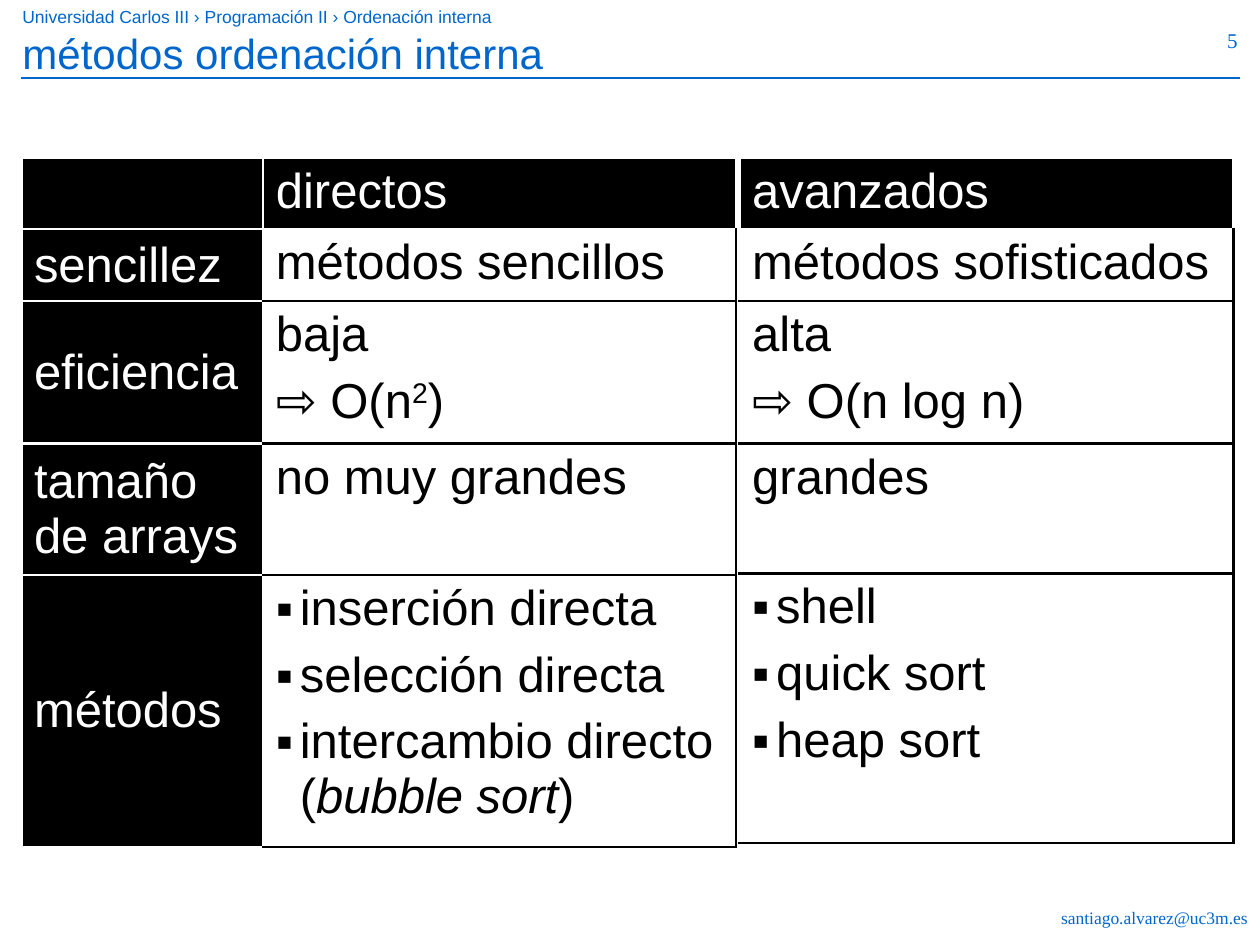
from dataclasses import dataclass
from pptx import Presentation
from pptx.dml.color import RGBColor as Rgb
from pptx.enum.shapes import MSO_CONNECTOR as Link
from pptx.enum.text import MSO_ANCHOR as Anchor, PP_ALIGN as Align
from pptx.oxml.ns import qn
from pptx.util import Inches, Pt
from lxml.etree import SubElement as Sub


@dataclass(frozen=True)
class Theme:
    blue: str = "0066CC"
    black: str = "000000"
    white: str = "FFFFFF"
    sans: str = "Arial"
    serif: str = "Times New Roman"
    small: int = 10
    page: int = 12
    title: int = 24
    body: int = 28
    rule: float = 0.75
    edge: float = 1.47
    gap: int = 7


THEME = Theme()


def add_run(para, text, size, face, color, **marks):
    run = para.add_run()
    run.text = text
    for name, value in {"size": Pt(size), "name": face}.items():
        setattr(run.font, name, value)
    run.font.color.rgb = Rgb.from_string(color)
    for name, value in marks.items():
        run.font._element.set(name, value)


def add_label(slide, box, text, size, face, align=Align.LEFT):
    frame = slide.shapes.add_textbox(*map(Inches, box)).text_frame
    frame.word_wrap = True
    para = frame.paragraphs[0]
    para.alignment = align
    add_run(para, text, size, face, THEME.blue)


def add_head(slide, box):
    left, top, width, height = box
    add_label(slide, (left, top, 5.83, 0.27),
              "Universidad Carlos III › Programación II › Ordenación interna",
              THEME.small, THEME.sans)
    add_label(slide, (left, top + 0.17, 8.67, 0.62), "métodos ordenación interna",
              THEME.title, THEME.sans)
    add_label(slide, (left + width - 0.67, top + 0.17, 0.67, 0.52), "5",
              THEME.page, THEME.serif, Align.RIGHT)
    level = Inches(top + height)
    rule = slide.shapes.add_connector(Link.STRAIGHT, Inches(left + 0.09), level,
                                      Inches(left + width - 0.08), level)
    rule.line.color.rgb = Rgb.from_string(THEME.blue)
    rule.line.width = Pt(THEME.rule)
    Sub(rule._element.spPr, qn("a:effectLst"))


def add_foot(slide, box):
    add_label(slide, box, "santiago.alvarez@uc3m.es", THEME.small, THEME.serif, Align.RIGHT)


def set_edges(cell, colors):
    props = cell._tc.get_or_add_tcPr()
    for side, color in zip("LRTB", colors):
        line = Sub(props, qn(f"a:ln{side}"), w=str(Pt(THEME.edge)))
        Sub(Sub(line, qn("a:solidFill")), qn("a:srgbClr"), val=color)


def set_bullet(para):
    props = para._p.get_or_add_pPr()
    indent = Inches(0.19)
    props.set("marL", str(indent))
    props.set("indent", str(-indent))
    Sub(Sub(props, qn("a:buClr")), qn("a:srgbClr"), val=THEME.black)
    Sub(props, qn("a:buFont"), typeface=THEME.sans)
    Sub(props, qn("a:buChar"), char="▪")


def fill_text(cell, paras, color, listed):
    frame = cell.text_frame
    for n, parts in enumerate(paras):
        para = frame.add_paragraph() if n else frame.paragraphs[0]
        para.space_before = Pt(THEME.gap)
        if listed:
            set_bullet(para)
        for part in [parts] if isinstance(parts, str) else parts:
            text, marks = (part, {}) if isinstance(part, str) else part
            add_run(para, text, THEME.body, THEME.sans, color, **marks)


def add_grid(slide, box, widths, heights, rows, labels=False):
    table = slide.shapes.add_table(len(rows), len(widths), *map(Inches, box)).table
    table.first_row = table.horz_banding = False
    for col, width in zip(table.columns, widths):
        col.width = Inches(width)
    black, white = THEME.black, THEME.white
    for r, (row, height) in enumerate(zip(rows, heights)):
        table.rows[r].height = Inches(height)
        for c, paras in enumerate(row):
            cell = table.cell(r, c)
            label = labels and c == 0
            dark = label or r == 0
            if dark:
                set_edges(cell, [white] * 4)
                cell.fill.solid()
                cell.fill.fore_color.rgb = Rgb.from_string(black)
            else:
                set_edges(cell, [white, black, white if r == 1 else black, black])
                cell.fill.background()
            if label:
                cell.vertical_anchor = Anchor.MIDDLE
            last = r == len(rows) - 1
            fill_text(cell, paras, white if dark else black, last and not dark)


def main():
    deck = Presentation()
    deck.slide_width, deck.slide_height = Inches(10), Inches(7.5)
    slide = deck.slides.add_slide(deck.slide_layouts[6])
    add_head(slide, (0.08, 0, 9.84, 0.62))
    direct = [
        [[], ["directos"]],
        [["sencillez"], ["métodos sencillos"]],
        [["eficiencia"], ["baja", ["⇨ O(n", ("2", {"baseline": "30000"}), ")"]]],
        [["tamaño de arrays"], ["no muy grandes"]],
        [["métodos"], ["inserción directa", "selección directa",
                       ["intercambio directo (", ("bubble sort", {"i": "1"}), ")"]]],
    ]
    smart = [
        [["avanzados"]],
        [["métodos sofisticados"]],
        [["alta", "⇨ O(n log n)"]],
        [["grandes"]],
        [["shell", "quick sort", "heap sort"]],
    ]
    tops = [0.57, 0.57, 1.13]
    add_grid(slide, (0.17, 1.25, 5.67, 5.45), [1.92, 3.75], tops + [1.04, 2.16], direct, True)
    add_grid(slide, (5.87, 1.25, 3.92, 5.44), [3.92], tops + [1.03, 2.14], smart)
    add_foot(slide, (6.83, 7.15, 3.17, 0.27))
    deck.save("out.pptx")


if __name__ == "__main__":
    main()
